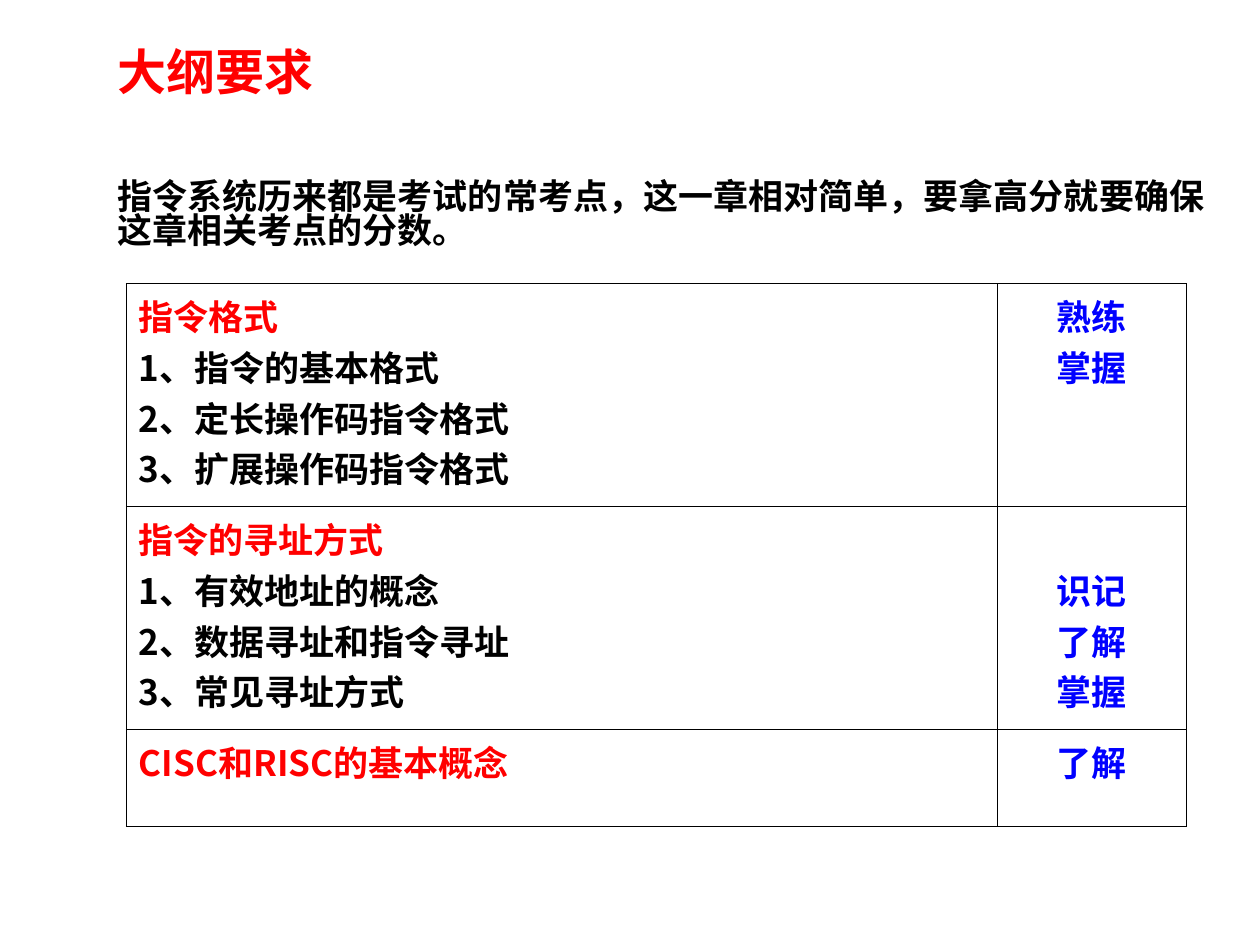
from pptx import Presentation
from pptx.dml.color import RGBColor as Rgb
from pptx.enum.text import MSO_ANCHOR as Anchor, PP_ALIGN as Align
from pptx.oxml import parse_xml as parse
from pptx.oxml.ns import nsdecls, qn
from pptx.util import Pt

FACE = "Noto Sans CJK SC"
RED, BLUE, BLACK = "FF0000", "0000FF", "000000"
PAD = {"margin_left": Pt(7.2), "margin_right": Pt(7.2),
       "margin_top": Pt(3.6), "margin_bottom": Pt(3.6)}
LINE = 29
ROWS = [
    (["指令格式", "1、指令的基本格式", "2、定长操作码指令格式", "3、扩展操作码指令格式"],
     ["熟练", "掌握"], 0),
    (["指令的寻址方式", "1、有效地址的概念", "2、数据寻址和指令寻址", "3、常见寻址方式"],
     ["识记", "了解", "掌握"], 1),
    (["CISC和RISC的基本概念"], ["了解"], 0),
]


def paint(code):
    return Rgb.from_string(code)


def apply(item, form):
    for key, val in form.items():
        setattr(item, key, val)


def write(para, text, size, color, form):
    apply(para, form)
    run = para.add_run()
    run.text = text
    apply(run.font, {"name": FACE, "size": Pt(size), "bold": True})
    run.font.color.rgb = paint(color)
    east = parse(f'<a:ea {nsdecls("a")} typeface="{FACE}"/>')
    run.font._element.find(qn("a:latin")).addnext(east)


def fill(frame, lines, size, colors, form):
    for i, (text, color) in enumerate(zip(lines, colors)):
        para = frame.add_paragraph() if i else frame.paragraphs[0]
        write(para, text, size, color, form)


def label(slide, box, text, size, color, anchor):
    frame = slide.shapes.add_textbox(*map(Pt, box)).text_frame
    apply(frame, {**PAD, "word_wrap": True, "vertical_anchor": anchor})
    fill(frame, [text], size, [color], {"line_spacing": 0.83})


def edge(cell):
    props = cell._tc.get_or_add_tcPr()
    for i, side in enumerate(("lnL", "lnR", "lnT", "lnB")):
        props.insert(i, parse(
            f'<a:{side} {nsdecls("a")} w="{Pt(0.34)}"><a:solidFill>'
            f'<a:srgbClr val="{BLACK}"/></a:solidFill></a:{side}>'))


def grid(slide, box, cols, highs):
    table = slide.shapes.add_table(len(highs), len(cols), *map(Pt, box)).table
    apply(table, {"first_row": False, "horz_banding": False})
    for col, wide in zip(table.columns, cols):
        col.width = Pt(wide)
    for row, high, (topics, marks, skip) in zip(table.rows, highs, ROWS):
        row.height = Pt(high)
        left, right = row.cells
        for cell in (left, right):
            apply(cell, PAD)
            cell.fill.background()
            edge(cell)
        right.margin_top = Pt(3.6 + skip * LINE)
        fill(left.text_frame, topics, 20, [RED] + [BLACK] * 3, {})
        fill(right.text_frame, marks, 20, [BLUE] * 3, {"alignment": Align.CENTER})


def main():
    deck = Presentation()
    apply(deck, {"slide_width": Pt(720), "slide_height": Pt(540)})
    slide = deck.slides.add_slide(deck.slide_layouts[6])
    label(slide, (60, 95.8, 653.8, 55.4),
          "指令系统历来都是考试的常考点，这一章相对简单，要拿高分就要确保这章相关考点的分数。",
          20, BLACK, Anchor.MIDDLE)
    grid(slide, (72, 162, 606, 310), (498, 108), (127.4, 127.4, 55.4))
    label(slide, (60, 26, 209.5, 41), "大纲要求", 28, RED, Anchor.TOP)
    deck.save("out.pptx")


if __name__ == "__main__":
    main()
